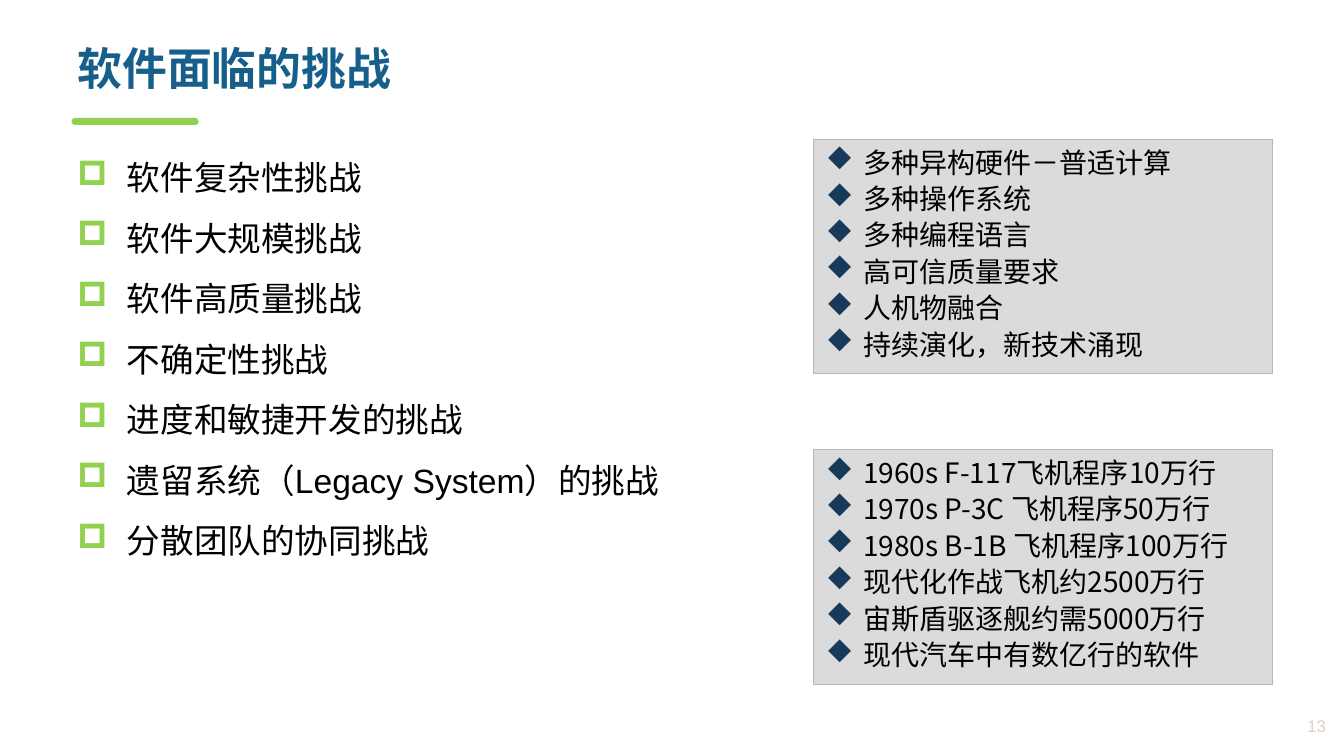
from dataclasses import dataclass

from lxml import etree
from pptx import Presentation
from pptx import util as u
from pptx.dml.color import RGBColor
from pptx.enum import shapes, text
from pptx.oxml import ns

TITLE = "软件面临的挑战"
CHALLENGES = [
    "软件复杂性挑战",
    "软件大规模挑战",
    "软件高质量挑战",
    "不确定性挑战",
    "进度和敏捷开发的挑战",
    "遗留系统（Legacy System）的挑战",
    "分散团队的协同挑战",
]
COMPLEXITY = [
    "多种异构硬件－普适计算",
    "多种操作系统",
    "多种编程语言",
    "高可信质量要求",
    "人机物融合",
    "持续演化，新技术涌现",
]
SCALE = [
    "1960s F-117飞机程序10万行",
    "1970s P-3C 飞机程序50万行",
    "1980s B-1B 飞机程序100万行",
    "现代化作战飞机约2500万行",
    "宙斯盾驱逐舰约需5000万行",
    "现代汽车中有数亿行的软件",
]
PAGE_NUMBER = "13"


@dataclass(frozen=True)
class Theme:
    title: str = "175F8B"
    accent: str = "92D050"
    body: str = "000000"
    panel: str = "DBDBDB"
    panel_line: str = "ADB9CA"
    diamond: str = "173A5A"
    page: str = "E0CFBD"
    latin: str = "Arial"
    cjk: str = "Noto Sans CJK SC"
    symbols: str = "Wingdings"
    title_pt: int = 32
    body_pt: int = 24
    panel_pt: int = 20
    page_pt: int = 12


THEME = Theme()
# Positions of the marks in the symbol font
HOLLOW_SQUARE, DIAMOND = "p", "u"
PX = u.Inches(1) // 100
WIDTH, HEIGHT = 1333, 750
PANEL_LEFT, PANEL_WIDTH, PANEL_HEIGHT = 807, 455, 233
PANEL_TOP, PANEL_PITCH = 138, 308


def px(*lengths):
    return [length * PX for length in lengths]


def rgb(color):
    return RGBColor.from_string(color)


def set_frame(frame, margins=(10, 5), anchor=text.MSO_ANCHOR.TOP):
    frame.word_wrap = True
    frame.vertical_anchor = anchor
    frame.margin_left = frame.margin_right = margins[0] * PX
    frame.margin_top = frame.margin_bottom = margins[1] * PX


def add_text(slide, box, **frame_options):
    frame = slide.shapes.add_textbox(*px(*box)).text_frame
    set_frame(frame, **frame_options)
    return frame


def style_runs(paragraph, size, color, latin, bold=False):
    for run in paragraph.runs:
        run.font.size = u.Pt(size)
        run.font.name = latin
        run.font.bold = bold
        run.font.color.rgb = rgb(color)
        east_asian = etree.SubElement(run.font._element, ns.qn("a:ea"))
        east_asian.set("typeface", THEME.cjk)


def add_bullet(paragraph, mark, color, indent):
    properties = paragraph._p.get_or_add_pPr()
    properties.set("marL", str(indent * PX))
    properties.set("indent", str(-indent * PX))
    bullet_color = etree.SubElement(properties, ns.qn("a:buClr"))
    etree.SubElement(bullet_color, ns.qn("a:srgbClr")).set("val", color)
    bullet_font = etree.SubElement(properties, ns.qn("a:buFont"))
    bullet_font.set("typeface", THEME.symbols)
    bullet_font.set("pitchFamily", "2")
    bullet_font.set("charset", "2")
    etree.SubElement(properties, ns.qn("a:buChar")).set("char", mark)


def fill_list(frame, items, bullet, size, latin, line_spacing=1.0, gap=0):
    frame.text = "\n".join(items)
    for index, paragraph in enumerate(frame.paragraphs):
        add_bullet(paragraph, *bullet)
        paragraph.alignment = text.PP_ALIGN.LEFT
        paragraph.line_spacing = line_spacing
        paragraph.space_before = u.Pt(gap if index else 0)
        style_runs(paragraph, size, THEME.body, latin)


def add_panel(slide, top, items):
    panel = slide.shapes.add_shape(
        shapes.MSO_SHAPE.RECTANGLE, *px(PANEL_LEFT, top, PANEL_WIDTH, PANEL_HEIGHT))
    panel.shadow.inherit = False
    panel.fill.solid()
    panel.fill.fore_color.rgb = rgb(THEME.panel)
    panel.line.color.rgb = rgb(THEME.panel_line)
    panel.line.width = u.Pt(0.75)
    set_frame(panel.text_frame, margins=(12, 6))
    fill_list(panel.text_frame, items, (DIAMOND, THEME.diamond, 37),
              THEME.panel_pt, THEME.cjk, gap=2)


def add_title(slide):
    underline = slide.shapes.add_shape(
        shapes.MSO_SHAPE.ROUNDED_RECTANGLE, *px(71, 117, 126, 7))
    underline.adjustments[0] = 0.5
    underline.shadow.inherit = False
    underline.fill.solid()
    underline.fill.fore_color.rgb = rgb(THEME.accent)
    underline.line.fill.background()

    heading = add_text(slide, (67, 41, 1219, 75))
    heading.text = TITLE
    heading.paragraphs[0].line_spacing = 0.9
    style_runs(heading.paragraphs[0], THEME.title_pt, THEME.title, THEME.cjk, bold=True)


def add_page_number(slide):
    page = add_text(slide, (1212, 701, 113, 38), anchor=text.MSO_ANCHOR.MIDDLE)
    page.text = PAGE_NUMBER
    page.paragraphs[0].alignment = text.PP_ALIGN.RIGHT
    style_runs(page.paragraphs[0], THEME.page_pt, THEME.page, THEME.latin)


def main():
    deck = Presentation()
    deck.slide_width, deck.slide_height = px(WIDTH, HEIGHT)
    slide = deck.slides.add_slide(deck.slide_layouts[6])
    add_title(slide)
    challenges = add_text(slide, (67, 131, 621, 505))
    fill_list(challenges, CHALLENGES, (HOLLOW_SQUARE, THEME.accent, 49),
              THEME.body_pt, THEME.latin, line_spacing=1.5)
    for index, items in enumerate((COMPLEXITY, SCALE)):
        add_panel(slide, PANEL_TOP + index * PANEL_PITCH, items)
    add_page_number(slide)
    deck.save("out.pptx")


if __name__ == "__main__":
    main()
